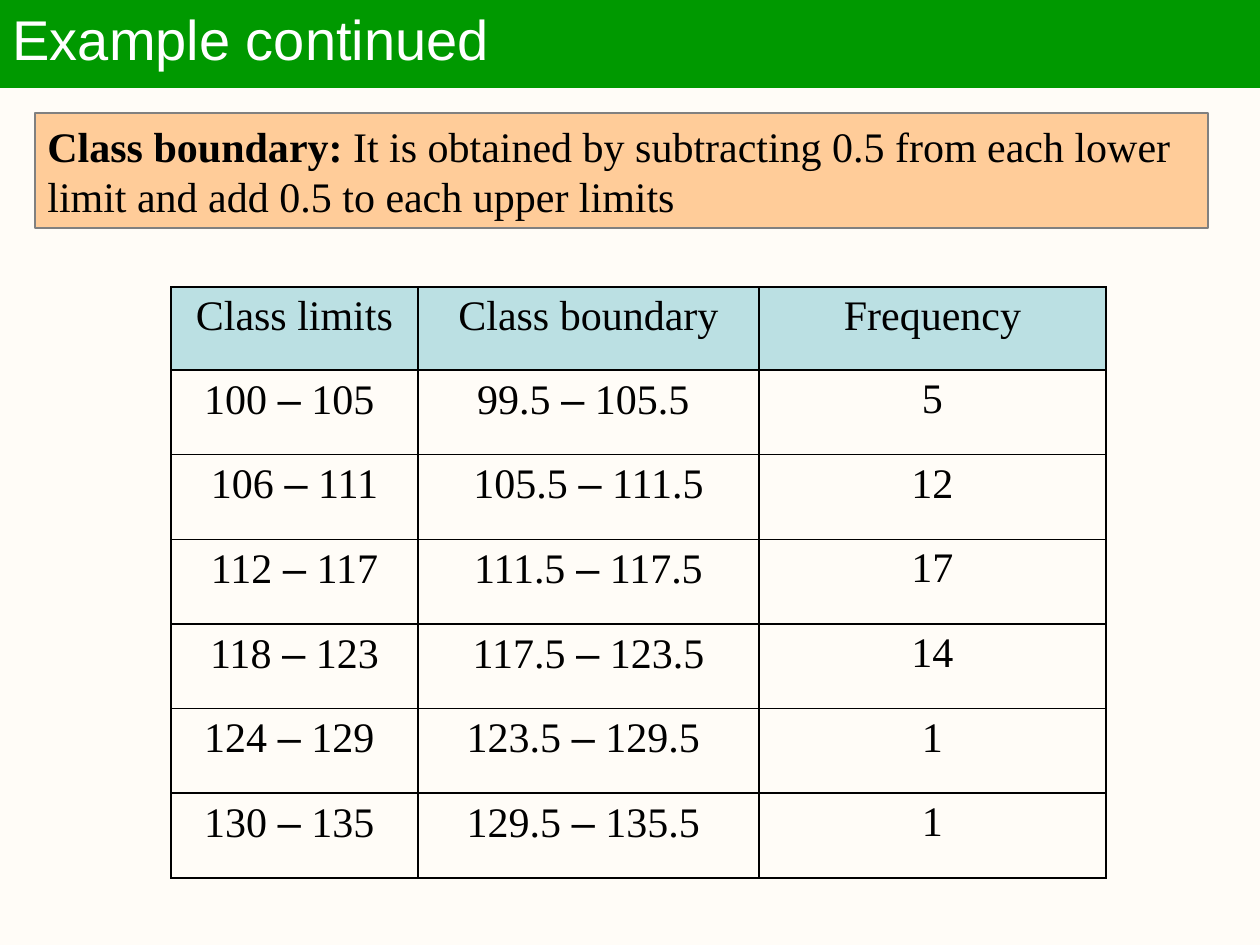
from lxml.etree import SubElement
from pptx import Presentation
from pptx.dml.color import RGBColor
from pptx.enum.shapes import MSO_SHAPE
from pptx.enum.text import MSO_ANCHOR, MSO_AUTO_SIZE, PP_ALIGN
from pptx.oxml.ns import qn
from pptx.util import Pt

# Content
TITLE = "Example continued"
DEFINITION = [
    ("Class boundary:", True),
    (" It is obtained by subtracting 0.5 from each lower limit and add 0.5 to each upper limits", False),
]
HEADERS = ["Class limits", "Class boundary", "Frequency"]
ROWS = [
    ["100 – 105 ", "99.5 – 105.5 ", "5"],
    ["106 – 111", "105.5 – 111.5", "12"],
    ["112 – 117", "111.5 – 117.5", "17"],
    ["118 – 123", "117.5 – 123.5", "14"],
    ["124 – 129 ", "123.5 – 129.5 ", "1"],
    ["130 – 135 ", "129.5 – 135.5 ", "1"],
]

# Layout in px
SCALE = 914400 / 126
TITLE_BOX = (0, -2, 1260, 89)
DEFINITION_BOX = (35, 113, 1173, 115)
TABLE_LEFT, TABLE_TOP = 171, 287
COLUMN_WIDTHS = [247, 341, 347]
HEADER_HEIGHT, BODY_HEIGHT = 83, 508

SERIF, SANS = "Times New Roman", "Arial"
CREAM = RGBColor(0xFF, 0xFC, 0xF7)
GREEN = RGBColor(0x00, 0x99, 0x00)
PEACH = RGBColor(0xFF, 0xCC, 0x99)
GRAY = RGBColor(0x80, 0x80, 0x80)
TEAL = RGBColor(0xBB, 0xE0, 0xE3)
BLACK = RGBColor(0x00, 0x00, 0x00)
WHITE = RGBColor(0xFF, 0xFF, 0xFF)


def px(n):
    return round(n * SCALE)


def add_text(p, text, font=SERIF, size=24, color=BLACK, bold=False):
    r = p.add_run()
    r.text = text
    r.font.name, r.font.size, r.font.bold = font, Pt(size), bold
    r.font.color.rgb = color


def paint(sp, fill, line):
    sp.fill.solid()
    sp.fill.fore_color.rgb = fill
    sp.line.color.rgb = line
    sp.line.width = Pt(0.75)


def add_borders(cell):
    tcPr = cell._tc.get_or_add_tcPr()
    for i, side in enumerate(("lnL", "lnR", "lnT", "lnB")):
        ln = tcPr.makeelement(qn(f"a:{side}"), {"w": str(Pt(1))})
        fill = SubElement(ln, qn("a:solidFill"))
        SubElement(fill, qn("a:srgbClr"), val=str(BLACK))
        tcPr.insert(i, ln)


def fill_cell(cell, text, is_header):
    if is_header:
        cell.fill.solid()
        cell.fill.fore_color.rgb = TEAL
    else:
        cell.fill.background()
    add_borders(cell)
    p = cell.text_frame.paragraphs[0]
    p.alignment = PP_ALIGN.CENTER
    # The dash of a range is set in the sans font
    low, dash, high = text.partition("–")
    add_text(p, low)
    if dash:
        add_text(p, dash, font=SANS)
        add_text(p, high)


prs = Presentation()
prs.slide_width, prs.slide_height = px(1260), px(945)
s = prs.slides.add_slide(prs.slide_layouts[5])
s.background.fill.solid()
s.background.fill.fore_color.rgb = CREAM

# Title bar
title = s.shapes.title
title.left, title.top, title.width, title.height = map(px, TITLE_BOX)
paint(title, GREEN, GREEN)
tf = title.text_frame
tf.auto_size = MSO_AUTO_SIZE.NONE
tf.vertical_anchor = MSO_ANCHOR.MIDDLE
p = tf.paragraphs[0]
p.alignment = PP_ALIGN.LEFT
p.line_spacing = 0.9
add_text(p, TITLE, font=SANS, size=32, color=WHITE)

# Definition
sp = s.shapes.add_shape(MSO_SHAPE.RECTANGLE, *map(px, DEFINITION_BOX))
sp.shadow.inherit = False
paint(sp, PEACH, GRAY)
tf = sp.text_frame
tf.word_wrap = True
tf.vertical_anchor = MSO_ANCHOR.MIDDLE
p = tf.paragraphs[0]
p.alignment = PP_ALIGN.LEFT
for text, bold in DEFINITION:
    add_text(p, text, bold=bold)

# Frequency table
grid = [HEADERS] + ROWS
table = s.shapes.add_table(
    len(grid), len(HEADERS), px(TABLE_LEFT), px(TABLE_TOP),
    px(sum(COLUMN_WIDTHS)), px(HEADER_HEIGHT + BODY_HEIGHT)).table
table.first_row = table.horz_banding = False
for column, width in zip(table.columns, COLUMN_WIDTHS):
    column.width = px(width)
for i, values in enumerate(grid):
    table.rows[i].height = px(BODY_HEIGHT / len(ROWS) if i else HEADER_HEIGHT)
    for j, text in enumerate(values):
        fill_cell(table.cell(i, j), text, is_header=i == 0)

prs.save("out.pptx")
